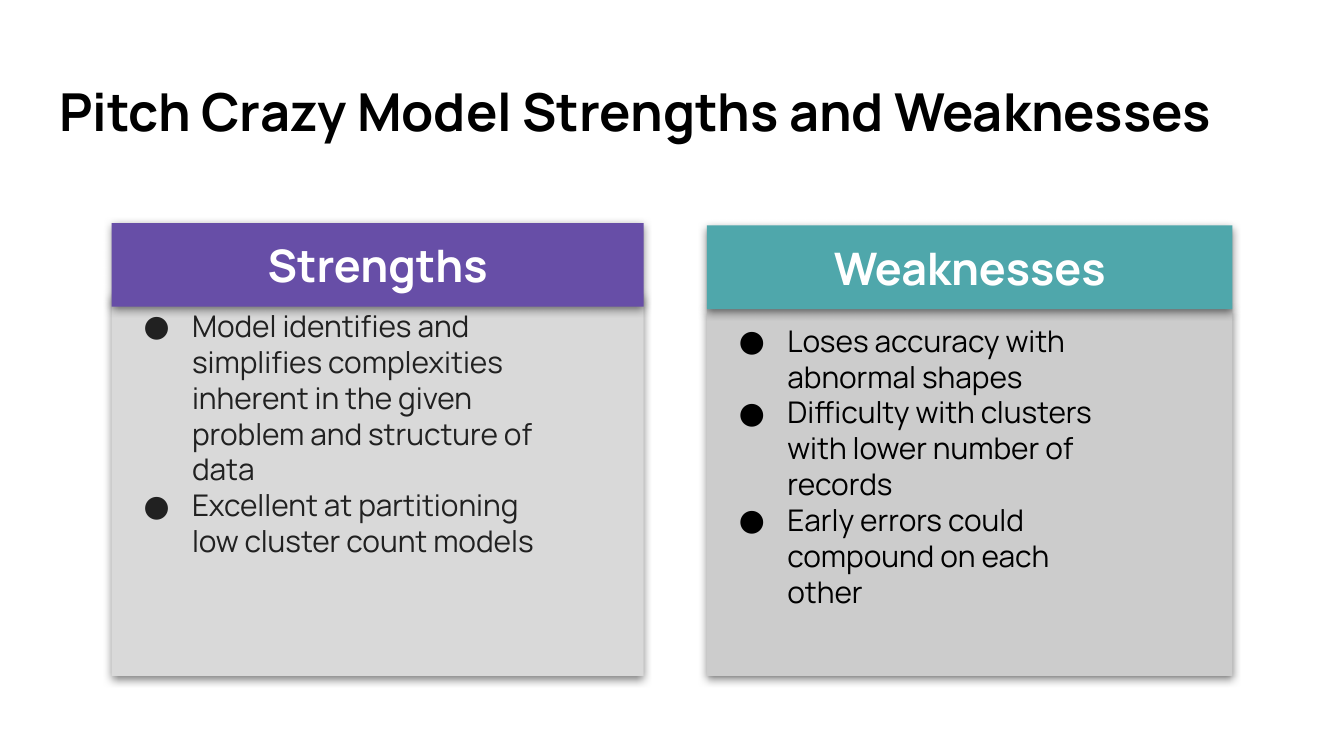
from dataclasses import dataclass

import pptx
import pptx.dml.color
import pptx.enum.shapes
import pptx.enum.text
import pptx.oxml
import pptx.oxml.ns
import pptx.util

Pt = pptx.util.Pt
Align = pptx.enum.text.PP_ALIGN
Anchor = pptx.enum.text.MSO_ANCHOR


@dataclass(frozen=True)
class Theme:
    font: str = "Manrope"
    title_size: int = 28
    header_size: int = 24
    body_size: int = 16
    black: str = "000000"
    charcoal: str = "212121"
    white: str = "FFFFFF"
    light_gray: str = "D9D9D9"
    gray: str = "CCCCCC"
    purple: str = "674EA7"
    teal: str = "4FA7AB"


THEME = Theme()
INSET = 7.2
HEADER_HEIGHT = 44.8
CARD_BOTTOM = 362.2

SHADOW = (
    f'<a:effectLst {pptx.oxml.ns.nsdecls("a")}>'
    f'<a:outerShdw blurRad="{Pt(4.5)}" dist="{Pt(1.5)}" dir="5400000" '
    'algn="bl" rotWithShape="0"><a:srgbClr val="000000">'
    '<a:alpha val="50000"/></a:srgbClr></a:outerShdw></a:effectLst>'
)


def rgb(color):
    return pptx.dml.color.RGBColor.from_string(color)


def add_bullet(para, color):
    """Give a paragraph a hanging round bullet and a right margin."""
    properties = para._p.get_or_add_pPr()
    for name, length in (("marL", 36), ("marR", 50), ("indent", -26)):
        properties.set(name, str(Pt(length)))
    namespace = pptx.oxml.ns.nsdecls("a")
    for markup in (
        f'<a:buClr {namespace}><a:srgbClr val="{color}"/></a:buClr>',
        f'<a:buFont {namespace} typeface="{THEME.font}"/>',
        f'<a:buChar {namespace} char="●"/>',
    ):
        properties.append(pptx.oxml.parse_xml(markup))


def write_text(box, lines, *, size, color, bold=False, align=Align.LEFT,
               anchor=Anchor.TOP, bullets=False):
    """Fill a box with one paragraph for each line."""
    frame = box.text_frame
    frame.word_wrap = True
    frame.auto_size = pptx.enum.text.MSO_AUTO_SIZE.NONE
    frame.vertical_anchor = anchor
    frame.margin_left = frame.margin_right = Pt(INSET)
    frame.margin_top = frame.margin_bottom = Pt(INSET)
    for index, line in enumerate(lines):
        para = frame.add_paragraph() if index else frame.paragraphs[0]
        para.alignment = align
        if bullets:
            add_bullet(para, color)
        span = para.add_run()
        span.text = line
        span.font.name = THEME.font
        span.font.size = Pt(size)
        span.font.bold = bold
        span.font.color.rgb = rgb(color)


def add_panel(slide, left, top, width, height, fill):
    """Add a filled rectangle with a soft shadow below it."""
    panel = slide.shapes.add_shape(
        pptx.enum.shapes.MSO_SHAPE.RECTANGLE,
        Pt(left), Pt(top), Pt(width), Pt(height))
    panel.fill.solid()
    panel.fill.fore_color.rgb = rgb(fill)
    panel.line.fill.background()
    panel._element.spPr.append(pptx.oxml.parse_xml(SHADOW))
    return panel


def add_card(slide, heading, points, *, left, width, header_top, body_top,
             header_fill, body_fill, text_color):
    """Add a bulleted panel with a coloured header over its top edge."""
    body = add_panel(slide, left, body_top, width, CARD_BOTTOM - body_top, body_fill)
    write_text(body, points, size=THEME.body_size, color=text_color, bullets=True)
    header = add_panel(slide, left, header_top, width, HEADER_HEIGHT, header_fill)
    write_text(header, [heading], size=THEME.header_size, color=THEME.white,
               bold=True, align=Align.CENTER, anchor=Anchor.MIDDLE)


def set_title(slide, text):
    title = slide.shapes.title
    title.left, title.top = Pt(24.5), Pt(35.3)
    title.width, title.height = Pt(671), Pt(45.4)
    write_text(title, [text], size=THEME.title_size, color=THEME.black, bold=True)


def main():
    deck = pptx.Presentation()
    deck.slide_width, deck.slide_height = Pt(720), Pt(405)
    slide = deck.slides.add_slide(deck.slide_layouts.get_by_name("Title Only"))

    # Title
    set_title(slide, "Pitch Crazy Model Strengths and Weaknesses")

    # Left card
    add_card(
        slide, "Strengths",
        ["Model identifies and simplifies complexities inherent in the given "
         "problem and structure of data",
         "Excellent at partitioning low cluster count models"],
        left=59.8, width=285, header_top=119.5, body_top=157.7,
        header_fill=THEME.purple, body_fill=THEME.light_gray,
        text_color=THEME.charcoal)

    # Right card
    add_card(
        slide, "Weaknesses",
        ["Loses accuracy with abnormal shapes",
         "Difficulty with clusters with lower number of records",
         "Early errors could compound on each other"],
        left=378.7, width=281.5, header_top=120.8, body_top=165.6,
        header_fill=THEME.teal, body_fill=THEME.gray,
        text_color=THEME.black)

    deck.save("out.pptx")


if __name__ == "__main__":
    main()
